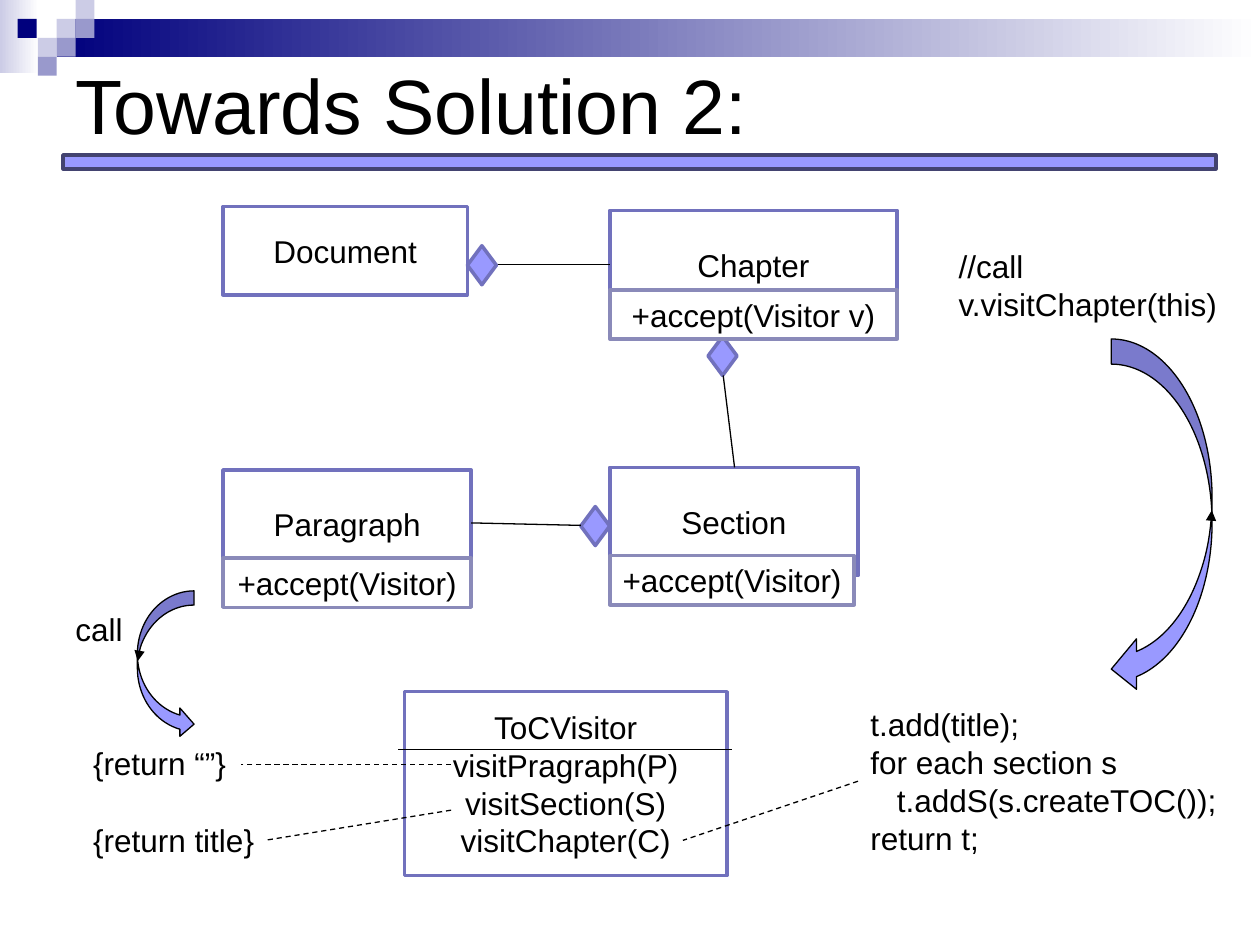
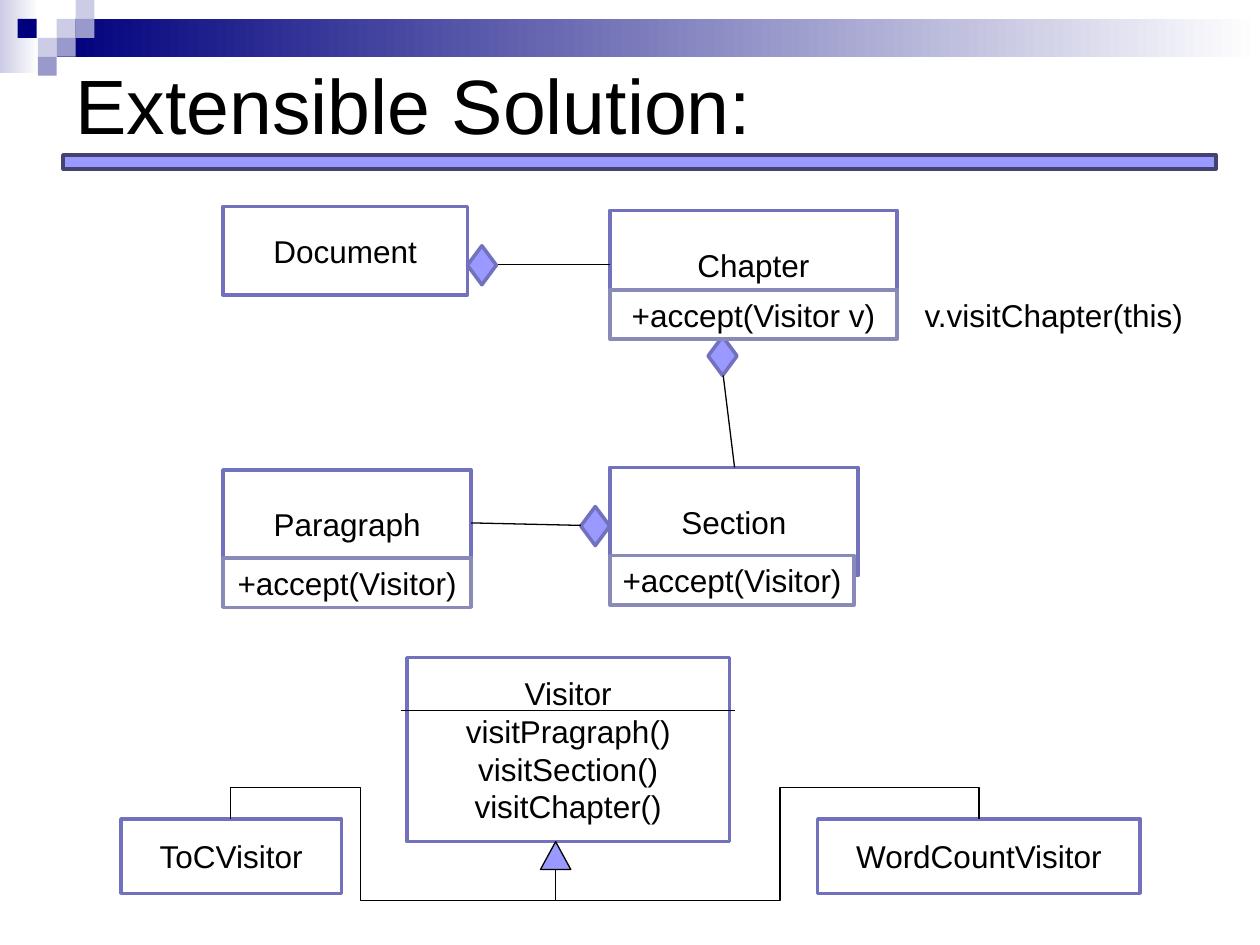
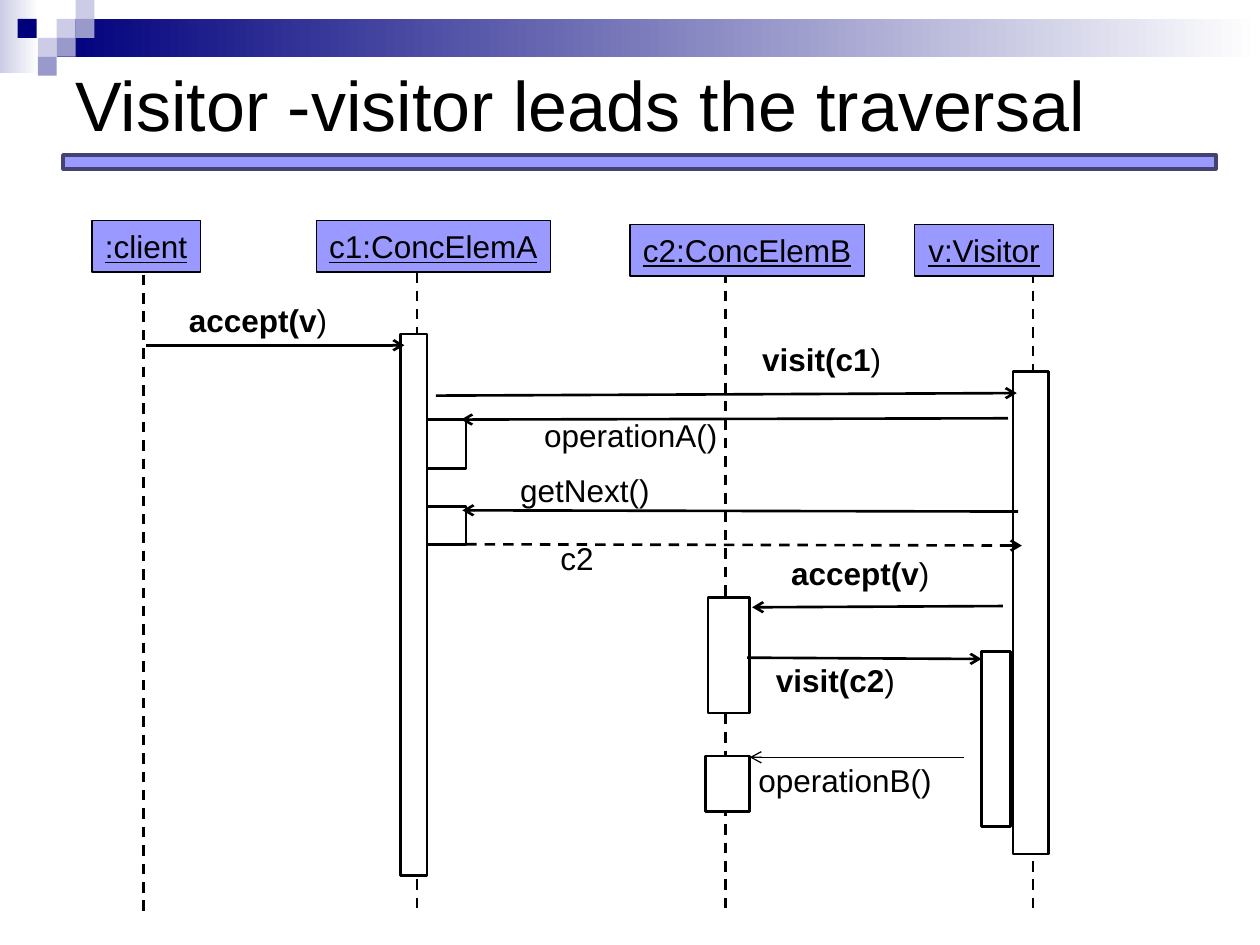
from pptx import Presentation
from pptx.dml.color import RGBColor
from pptx.enum.dml import MSO_LINE
from pptx.enum.shapes import MSO_CONNECTOR, MSO_SHAPE
from pptx.enum.text import MSO_ANCHOR, MSO_AUTO_SIZE, PP_ALIGN
from pptx.oxml.ns import qn
from pptx.util import Inches, Pt
from lxml.etree import SubElement

FONT = "Arial"
BLACK, WHITE = "000000", "FFFFFF"
NAVY, PALE, MID, ACCENT = "00007D", "CCCCE6", "9999CC", "9999FF"
CLASS_LINE, METHOD_LINE, RULE_LINE = "7171BD", "8A8AB9", "434370"
SQUARES = [(0.45, 0.15, PALE), (0.6, 0, PALE), (0.6, 0.15, MID), (0.3, 0.3, PALE),
           (0.14, 0.15, NAVY), (0.45, 0.3, MID), (0.3, 0.45, MID)]


def color(code):
    return RGBColor.from_string(code)


def add_arrowhead(line_format, kind):
    SubElement(line_format._get_or_add_ln(), qn("a:tailEnd"), type=kind)


def write_text(frame, lines, align=PP_ALIGN.LEFT, size=18, underline=False, indents=()):
    for index, line in enumerate(lines):
        para = frame.paragraphs[0] if index == 0 else frame.add_paragraph()
        para.alignment = align
        if index in indents:
            para._p.get_or_add_pPr().set("marL", str(Inches(0.21)))
        for text, bold in [(line, False)] if isinstance(line, str) else line:
            span = para.add_run()
            span.text = text
            span.font.name = FONT
            span.font.size = Pt(size)
            span.font.bold = bold
            span.font.underline = underline
            span.font.color.rgb = color(BLACK)


def add_figure(page, place, kind=MSO_SHAPE.RECTANGLE, fill=None, line=None, width=2.0):
    figure = page.shapes.add_shape(kind, *map(Inches, place))
    figure.shadow.inherit = False
    if isinstance(fill, tuple):
        figure.fill.gradient()
        figure.fill.gradient_angle = 0
        for stop, code in zip(figure.fill.gradient_stops, fill):
            stop.color.rgb = color(code)
    elif fill:
        figure.fill.solid()
        figure.fill.fore_color.rgb = color(fill)
    else:
        figure.fill.background()
    if line:
        figure.line.color.rgb = color(line)
        figure.line.width = Pt(width)
    else:
        figure.line.fill.background()
    return figure


def add_box(page, place, lines, fill=None, line=CLASS_LINE, width=2.0, underline=False):
    box = add_figure(page, place, fill=fill, line=line, width=width)
    box.text_frame.word_wrap = False
    box.text_frame.vertical_anchor = MSO_ANCHOR.MIDDLE
    write_text(box.text_frame, lines, PP_ALIGN.CENTER, underline=underline)
    return box


def add_label(page, left, top, width, lines, wrap=False, indents=()):
    height = 0.1 + 0.3 * len(lines)
    box = page.shapes.add_textbox(*map(Inches, (left, top, width, height)))
    box.text_frame.word_wrap = wrap
    box.text_frame.auto_size = MSO_AUTO_SIZE.SHAPE_TO_FIT_TEXT
    write_text(box.text_frame, lines, indents=indents)


def add_line(page, start, end, width=0.75, dashed=False, arrow=False, kind=MSO_CONNECTOR.STRAIGHT):
    line = page.shapes.add_connector(kind, *map(Inches, start + end))
    line.line.color.rgb = color(BLACK)
    line.line.width = Pt(width)
    if dashed:
        line.line.dash_style = MSO_LINE.DASH
    if arrow:
        add_arrowhead(line.line, "arrow")
    SubElement(line._element.spPr, qn("a:effectLst"))
    return line


def add_inheritance(page, parent, child, place, flips, bends):
    elbow = add_line(page, (0, 0), (1, 1), kind=MSO_CONNECTOR.ELBOW)
    elbow.begin_connect(parent, 3)
    elbow.end_connect(child, 0)
    elbow.left, elbow.top, elbow.width, elbow.height = map(Inches, place)
    frame = elbow._element.spPr.find(qn("a:xfrm"))
    frame.set("rot", str(90 * 60000))
    for axis in ("flipH", "flipV"):
        frame.set(axis, "1" if axis in flips else "0")
    geometry = elbow._element.spPr.find(qn("a:prstGeom"))
    geometry.set("prst", "bentConnector5")
    guides = geometry.find(qn("a:avLst"))
    for number, bend in enumerate(bends, 1):
        SubElement(guides, qn("a:gd"), name=f"adj{number}", fmla=f"val {round(bend * 100000)}")


def add_turn_arrow(page, place, kind):
    turn = add_figure(page, place, kind, ACCENT, BLACK, 0.75)
    add_arrowhead(turn.line, "triangle")


def add_page(deck, title, size=44):
    page = deck.slides.add_slide(deck.slide_layouts[6])
    add_figure(page, (0, 0, 0.31, 0.58), fill=(PALE, WHITE))
    add_figure(page, (0.45, 0.15, 9.55, 0.3), fill=(NAVY, WHITE))
    for left, top, fill in SQUARES:
        add_figure(page, (left, top, 0.15, 0.15), fill=fill)
    add_figure(page, (0.5, 1.23, 9.15, 0.11), fill=ACCENT, line=RULE_LINE)
    box = page.shapes.add_textbox(*map(Inches, (0.5, 0.07, 9, 1.5)))
    box.text_frame.word_wrap = True
    box.text_frame.vertical_anchor = MSO_ANCHOR.MIDDLE
    write_text(box.text_frame, [title], size=size)
    return page


def add_document_model(page):
    add_box(page, (1.77, 1.64, 1.94, 0.7), ["Document"])
    add_box(page, (4.84, 1.67, 2.28, 0.86), ["Chapter"])
    add_box(page, (4.84, 3.71, 1.97, 0.86), ["Section"])
    add_box(page, (1.77, 3.73, 1.97, 0.86), ["Paragraph"])
    for left, top in [(3.71, 1.95), (4.61, 4.02), (5.62, 2.67)]:
        add_figure(page, (left, top, 0.23, 0.31), MSO_SHAPE.DIAMOND, ACCENT, CLASS_LINE)
    add_line(page, (3.95, 2.1), (4.84, 2.1))
    add_line(page, (5.74, 2.98), (5.83, 3.71))
    add_line(page, (3.74, 4.15), (4.61, 4.17))
    for left, top, width, method in [(4.84, 4.41, 1.94, "+accept(Visitor)"),
                                     (1.77, 4.43, 1.97, "+accept(Visitor)"),
                                     (4.84, 2.3, 2.28, "+accept(Visitor v)")]:
        add_box(page, (left, top, width, 0.39), [method], WHITE, METHOD_LINE)


def add_visitor_class(page, left, top, divider, lines):
    add_box(page, (left, top, 2.56, 1.46), lines)
    add_line(page, (left - 0.05, divider), (left + 2.6, divider))


def build_towards_solution(deck):
    page = add_page(deck, "Towards Solution 2:")
    add_document_model(page)
    add_visitor_class(page, 3.21, 5.49, 5.95,
                      ["ToCVisitor", "visitPragraph(P)", "visitSection(S)", "visitChapter(C)"])
    for start, end in [((3.58, 6.07), (1.91, 6.07)), ((6.81, 6.2), (5.42, 6.67)),
                       ((3.58, 6.43), (2.1, 6.67))]:
        add_line(page, start, end, dashed=True)
    add_label(page, 0.64, 5.86, 1.27, ["{return “”}"])
    add_label(page, 0.64, 6.47, 1.49, ["{return title}"])
    add_label(page, 6.81, 5.55, 2.97,
              ["t.add(title);", "for each section s", "t.addS(s.createTOC());", "return t;"],
              indents=(2,))
    add_label(page, 7.51, 1.91, 2.27, ["//call", "v.visitChapter(this)"])
    add_label(page, 0.5, 4.79, 2, ["call"], wrap=True)
    add_turn_arrow(page, (8.82, 2.69, 0.8, 2.82), MSO_SHAPE.CURVED_LEFT_ARROW)
    add_turn_arrow(page, (1.09, 4.69, 0.45, 1.17), MSO_SHAPE.CURVED_RIGHT_ARROW)


def build_extensible_solution(deck):
    page = add_page(deck, "Extensible Solution:")
    add_document_model(page)
    add_visitor_class(page, 3.23, 5.22, 5.64,
                      ["Visitor", "visitPragraph()", "visitSection()", "visitChapter()"])
    add_label(page, 7.24, 2.3, 2.27, ["v.visitChapter(this)"])
    toc = add_box(page, (0.96, 6.5, 1.75, 0.59), ["ToCVisitor"])
    word_count = add_box(page, (6.49, 6.5, 2.56, 0.59), ["WordCountVisitor"])
    triangle = add_figure(page, (4.29, 6.68, 0.24, 0.22), MSO_SHAPE.ISOSCELES_TRIANGLE,
                          ACCENT, BLACK, 0.75)
    add_inheritance(page, triangle, toc, (2.92, 5.41, 0.4, 2.58), ["flipH"], (-0.62, 0.6, 1.62))
    add_inheritance(page, triangle, word_count, (5.89, 5.02, 0.4, 3.36), ["flipH", "flipV"],
                    (-0.62, 0.53, 1.62))


def build_traversal(deck):
    page = add_page(deck, "Visitor -visitor leads the traversal", 40)
    for x, top in [(1.14, 2.18), (3.31, 2.16), (5.76, 2.16), (8.2, 2.16)]:
        add_line(page, (x, top), (x, top + 5.08), 1.5, dashed=True)
    for left, top, width, name in [(0.73, 1.75, 0.86, ":client"), (2.51, 1.75, 1.86, "c1:ConcElemA"),
                                   (5, 1.78, 1.86, "c2:ConcElemB"), (7.26, 1.78, 1.1, "v:Visitor")]:
        add_box(page, (left, top, width, 0.41), [name], ACCENT, BLACK, 0.75, underline=True)
    for activation in [(3.39, 4.02, 0.31, 0.3), (3.39, 3.33, 0.31, 0.39), (3.18, 2.65, 0.21, 4.3),
                       (5.62, 4.74, 0.33, 0.92), (5.6, 6, 0.35, 0.44),
                       (8.04, 2.95, 0.28, 3.83), (7.79, 5.17, 0.23, 1.39)]:
        add_figure(page, activation, fill=WHITE, line=BLACK, width=1.5)
    for start, end in [((1.16, 2.74), (3.21, 2.74)), ((3.46, 3.14), (8.07, 3.12)),
                       ((8, 3.32), (3.66, 3.33)), ((8.08, 4.06), (3.67, 4.05)),
                       ((7.96, 4.81), (5.97, 4.82)), ((5.93, 5.22), (7.79, 5.23))]:
        add_line(page, start, end, 1.5, arrow=True)
    add_line(page, (3.7, 4.32), (8.11, 4.33), 1.5, dashed=True, arrow=True)
    add_line(page, (7.65, 6.01), (5.95, 6.01), arrow=True)
    for left, top, width, call in [(1.4, 2.34, 1.31, "accept(v"), (5.95, 2.65, 1.16, "visit(c1"),
                                   (6.18, 4.35, 1.31, "accept(v"), (6.06, 5.2, 1.16, "visit(c2")]:
        add_label(page, left, top, width, [[(call, True), (")", False)]])
    for left, top, call in [(4.22, 3.25, "operationA()"), (4.03, 3.69, "getNext()"),
                            (5.92, 5.99, "operationB()")]:
        add_label(page, left, top, 1.73, [call], wrap=True)
    add_label(page, 4.35, 4.23, 0.47, ["c2"])


def main():
    deck = Presentation()
    deck.slide_width, deck.slide_height = Inches(10), Inches(7.5)
    build_towards_solution(deck)
    build_extensible_solution(deck)
    build_traversal(deck)
    deck.save("out.pptx")


if __name__ == "__main__":
    main()
